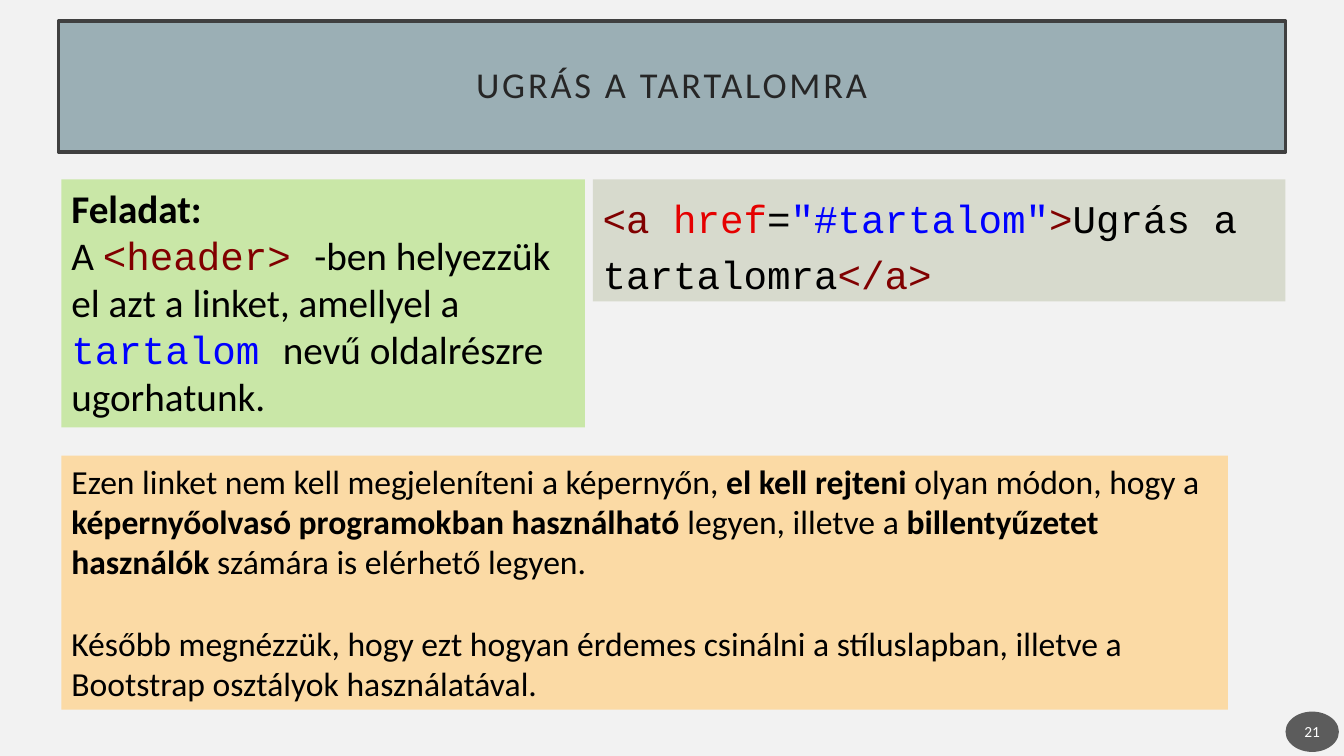
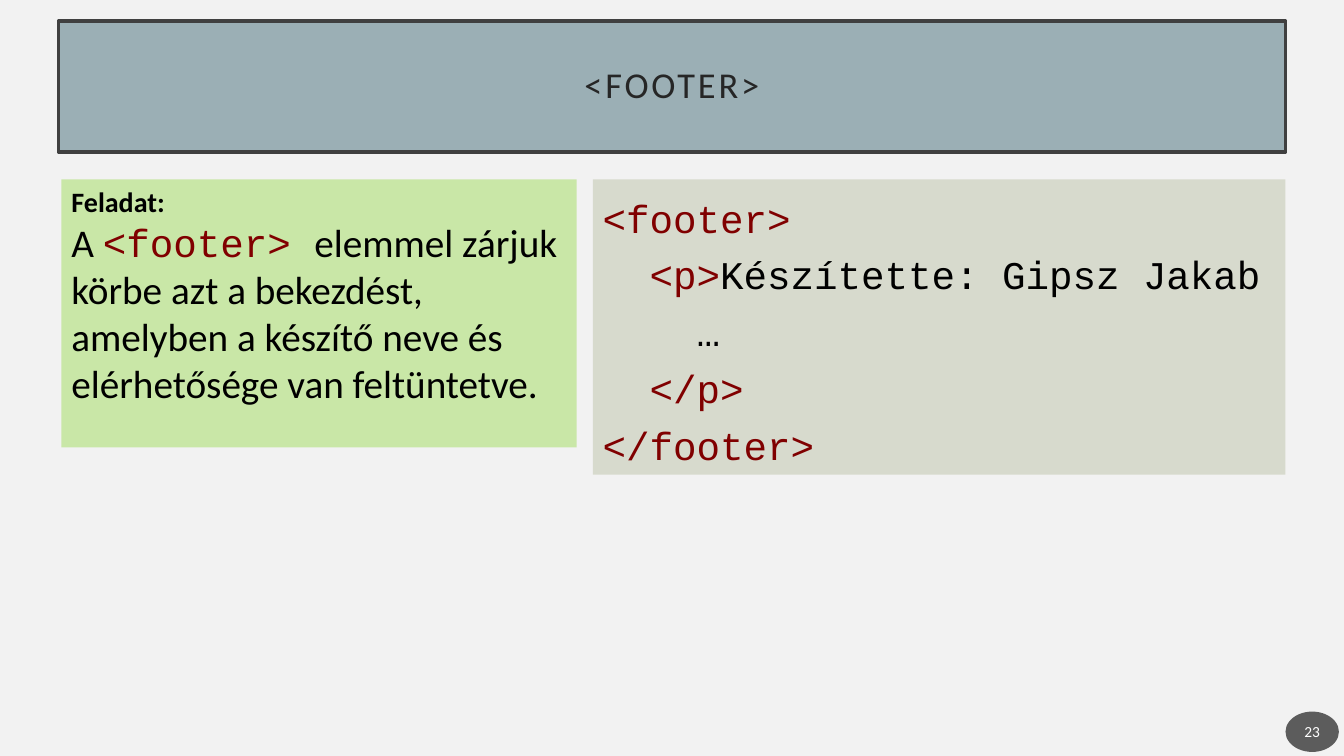
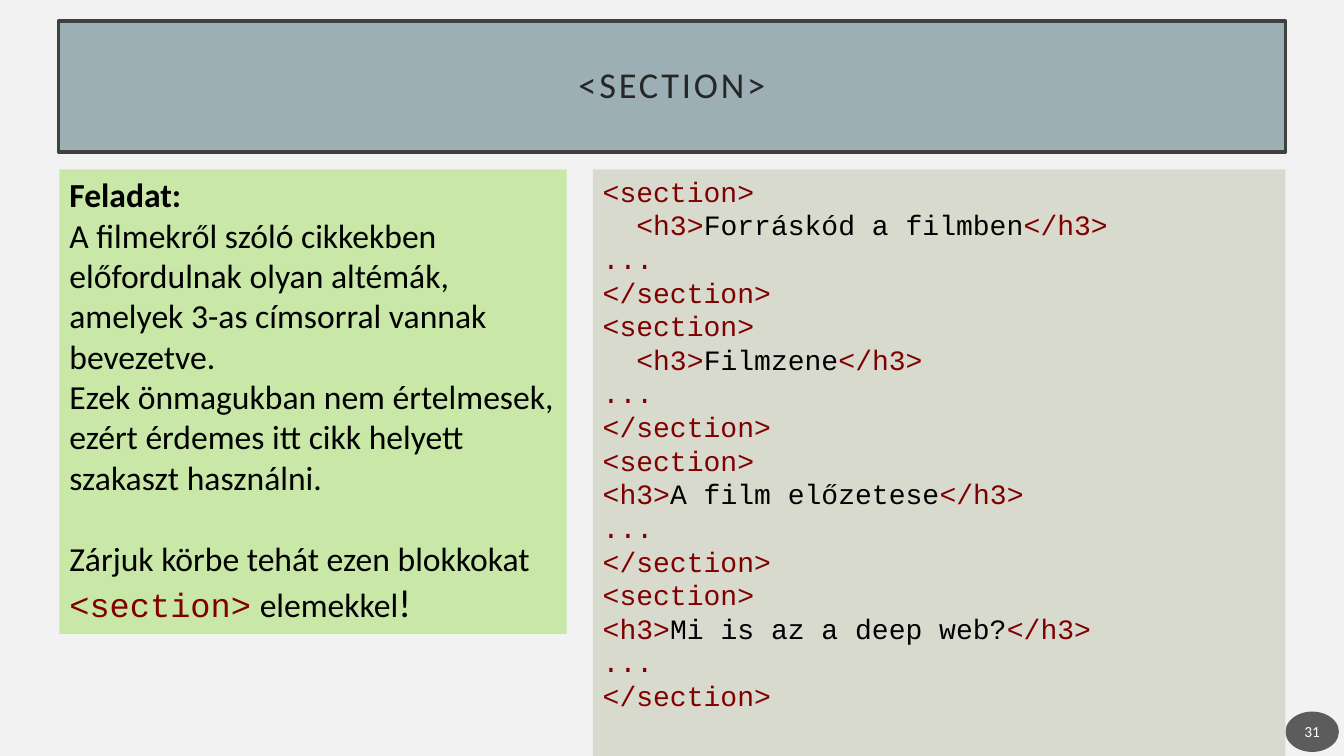
"""Builds three Hungarian slides about HTML elements, each with a task and its code."""
from lxml import etree
from pptx import Presentation
from pptx.dml.color import RGBColor
from pptx.enum.shapes import MSO_SHAPE
from pptx.enum.text import MSO_ANCHOR, PP_ALIGN
from pptx.oxml.ns import qn
from pptx.util import Inches, Pt

RECTANGLE, ELLIPSE = MSO_SHAPE.RECTANGLE, MSO_SHAPE.OVAL
TOP, MIDDLE = MSO_ANCHOR.TOP, MSO_ANCHOR.MIDDLE
LEFT, CENTER = PP_ALIGN.LEFT, PP_ALIGN.CENTER

SANS, MONO = "Calibri", "Courier New"
THEME = {
    "background": "F2F2F2",
    "band": "9BAFB5",
    "band_edge": "404040",
    "badge": "1D1D1D",
    "task": "C9E7A7",
    "code": "D7DACD",
    "note": "FBDAA5",
    "sizes": {"title": 26, "badge": 11, "large": 28, "body": 24, "small": 20},
    "code_leading": Pt(40.5),
    "blank_line": Pt(29.3),
    "styles": {
        "title": ("262626", {"name": SANS, "bold": False}),
        "badge": ("FFFFFF", {"name": SANS, "bold": False}),
        "text": ("000000", {"name": SANS, "bold": False}),
        "strong": ("000000", {"name": SANS, "bold": True}),
        "tag": ("800000", {"name": MONO, "bold": False}),
        "attribute": ("E50000", {"name": MONO, "bold": False}),
        "value": ("0000FF", {"name": MONO, "bold": False}),
        "plain": ("000000", {"name": MONO, "bold": False}),
    },
}

CODE_LEFT, CODE_WIDTH = 5.88, 6.87
TASK_HEADING = ("Feladat:", "strong")

film_sections = [
    ("  ", "Forráskód a filmben"),
    ("  ", "Filmzene"),
    ("", "A film előzetese"),
    ("", "Mi is az a deep web?"),
]
section_code = []
for indent, heading in film_sections:
    section_code += [
        [("<section>", "tag")],
        [(indent + "<h3>", "tag"), (heading, "plain"), ("</h3>", "tag")],
        [("...", "tag")],
        [("</section>", "tag")],
    ]

SLIDES = [
    {"title": "UGRÁS A TARTALOMRA", "number": "21", "panels": [
        {"fill": "task", "at": (0.61, 1.78, 5.19, 2.46), "size": "large", "lines": [
            [TASK_HEADING],
            [("A ", "text"), ("<header> ", "tag"),
             ("-ben helyezzük el azt a linket, amellyel a ", "text"),
             ("tartalom ", "value"), ("nevű oldalrészre ugorhatunk.", "text")],
        ]},
        {"fill": "code", "at": (CODE_LEFT, 1.78, CODE_WIDTH, 1.21), "size": "large",
         "leading": THEME["code_leading"], "lines": [
            [("<a ", "tag"), ("href", "attribute"), ("=", "plain"),
             ('"#tartalom"', "value"), (">", "tag"),
             ("Ugrás a tartalomra", "plain"), ("</a>", "tag")],
        ]},
        {"fill": "note", "at": (0.61, 4.52, 11.57, 2.52), "size": "body",
         "gap_before": 1, "lines": [
            [("Ezen linket nem kell megjeleníteni a képernyőn, ", "text"),
             ("el kell rejteni ", "strong"), ("olyan módon, hogy a ", "text"),
             ("képernyőolvasó programokban használható ", "strong"),
             ("legyen, illetve a ", "text"),
             ("billentyűzetet használók", "strong"),
             (" számára is elérhető legyen.", "text")],
            [("Később megnézzük, hogy ezt hogyan érdemes csinálni a stíluslapban, "
              "illetve a Bootstrap osztályok használatával.", "text")],
        ]},
    ]},
    {"title": "<FOOTER>", "number": "23", "panels": [
        {"fill": "task", "at": (0.61, 1.78, 5.11, 2.66), "size": "large", "lines": [
            [(*TASK_HEADING, "small")],
            [("A ", "text"), ("<footer> ", "tag"),
             ("elemmel zárjuk körbe azt a bekezdést, amelyben a készítő neve és "
              "elérhetősége van feltüntetve.", "text")],
        ]},
        {"fill": "code", "at": (CODE_LEFT, 1.78, CODE_WIDTH, 2.93), "size": "large",
         "leading": THEME["code_leading"], "lines": [
            [("<footer>", "tag")],
            [("  <p>", "tag"), ("Készítette: Gipsz Jakab", "plain")],
            [("    …", "plain")],
            [("  </p>", "tag")],
            [("</footer>", "tag")],
        ]},
    ]},
    {"title": "<SECTION>", "number": "31", "panels": [
        {"fill": "task", "at": (0.59, 1.68, 5.03, 4.61), "size": "body",
         "gap_before": 3, "lines": [
            [TASK_HEADING],
            [("A filmekről szóló cikkekben előfordulnak olyan altémák, amelyek "
              "3-as címsorral vannak bevezetve.", "text")],
            [("Ezek önmagukban nem értelmesek, ezért érdemes itt cikk helyett "
              "szakaszt használni.", "text")],
            [("Zárjuk körbe tehát ezen blokkokat ", "text"), ("<section>", "tag"),
             (" ", "text", "large"), ("elemekkel", "text"), ("!", "text", "large")],
        ]},
        {"fill": "code", "at": (CODE_LEFT, 1.68, CODE_WIDTH, 5.82), "size": "small",
         "lines": section_code},
    ]},
]


def add_panel(slide, outline, at, fill, anchor=TOP, insets=(0.1, 0.05)):
    """Add a filled, borderless shape that is ready for text."""
    panel = slide.shapes.add_shape(outline, *map(Inches, at))
    panel.shadow.inherit = False
    panel.fill.solid()
    panel.fill.fore_color.rgb = RGBColor.from_string(THEME[fill])
    panel.line.fill.background()
    side, edge = map(Inches, insets)
    frame_format = {"word_wrap": True, "vertical_anchor": anchor,
                    "margin_left": side, "margin_right": side,
                    "margin_top": edge, "margin_bottom": edge}
    for attribute, value in frame_format.items():
        setattr(panel.text_frame, attribute, value)
    return panel


def write_lines(panel, lines, size, align=LEFT, leading=None, gap_before=None):
    """Write one paragraph per line, each made of (text, style[, size]) runs."""
    frame = panel.text_frame
    for index, line in enumerate(lines):
        paragraph = frame.add_paragraph() if index else frame.paragraphs[0]
        paragraph.alignment = align
        if leading:
            paragraph.line_spacing = leading
        if index and index == gap_before:
            paragraph.space_before = THEME["blank_line"]
        for text, style, *own_size in line:
            run = paragraph.add_run()
            run.text = text
            color, font_format = THEME["styles"][style]
            run.font.size = Pt(THEME["sizes"][own_size[0] if own_size else size])
            run.font.color.rgb = RGBColor.from_string(color)
            for attribute, value in font_format.items():
                setattr(run.font, attribute, value)


prs = Presentation()
prs.slide_width, prs.slide_height = Inches(13.33), Inches(7.5)
backdrop = prs.slide_master.background.fill
backdrop.solid()
backdrop.fore_color.rgb = RGBColor.from_string(THEME["background"])
blank_layout = prs.slide_layouts[6]

for content in SLIDES:
    slide = prs.slides.add_slide(blank_layout)

    title_band = add_panel(slide, RECTANGLE, (0.58, 0.21, 12.17, 1.3), "band",
                           MIDDLE, (0.2, 0.2))
    title_band.line.color.rgb = RGBColor.from_string(THEME["band_edge"])
    title_band.line.width = Pt(2.5)
    write_lines(title_band, [[(content["title"], "title")]], "title", CENTER, 0.9)
    title_run = title_band.text_frame.paragraphs[0].runs[0]
    title_run.font._element.set("spc", "200")

    page_badge = add_panel(slide, ELLIPSE, (12.75, 7.06, 0.53, 0.4), "badge",
                           MIDDLE, (0.02, 0.05))
    badge_color = page_badge._element.spPr.find(qn("a:solidFill"))[0]
    etree.SubElement(badge_color, qn("a:alpha"), val="70000")
    write_lines(page_badge, [[(content["number"], "badge")]], "badge", CENTER)

    for part in content["panels"]:
        panel = add_panel(slide, RECTANGLE, part["at"], part["fill"])
        write_lines(panel, part["lines"], part["size"],
                    leading=part.get("leading"), gap_before=part.get("gap_before"))

prs.save("out.pptx")
